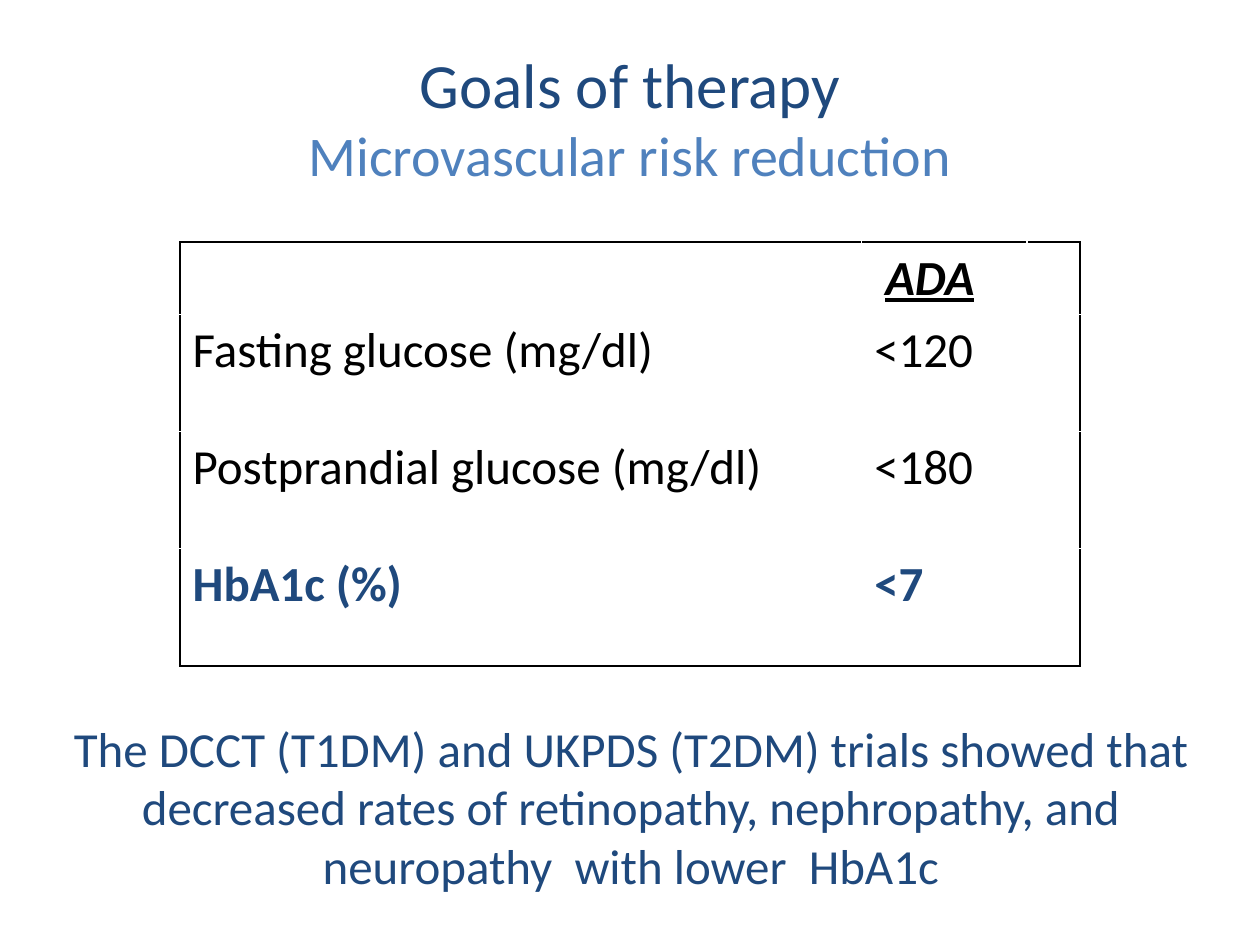
"""Build a slide on therapy goals for microvascular risk reduction."""
from lxml.etree import SubElement
from pptx import Presentation
from pptx.dml.color import RGBColor
from pptx.enum.text import MSO_ANCHOR, MSO_AUTO_SIZE, PP_ALIGN
from pptx.oxml.ns import qn
from pptx.util import Cm, Pt

NAVY = RGBColor(0x1F, 0x49, 0x7D)
BLUE = RGBColor(0x4F, 0x81, 0xBD)
BLACK = RGBColor(0, 0, 0)


def add_run(paragraph, text, size, color, bold=False):
    run = paragraph.add_run()
    run.text = text
    run.font.name = "Calibri"
    run.font.size = Pt(size)
    run.font.color.rgb = color
    run.font.bold = bold
    return run


def add_border(cell, side):
    line = SubElement(cell._tc.get_or_add_tcPr(), qn(f"a:{side}"), w=str(Pt(1)))
    fill = SubElement(line, qn("a:solidFill"))
    SubElement(fill, qn("a:srgbClr"), val=str(BLACK))


presentation = Presentation()
presentation.slide_width = Cm(25.4)
presentation.slide_height = Cm(19.05)
slide = presentation.slides.add_slide(presentation.slide_layouts[5])

title = slide.shapes.title
title.left, title.top, title.width, title.height = Cm(1.27), Cm(0.76), Cm(22.86), Cm(3.18)
title.text_frame.vertical_anchor = MSO_ANCHOR.MIDDLE
paragraph = title.text_frame.paragraphs[0]
paragraph.alignment = PP_ALIGN.CENTER
add_run(paragraph, "Goals of therapy", 36, NAVY)
paragraph.add_line_break()
add_run(paragraph, "Microvascular risk reduction", 32, BLUE)

goals = [
    ("", "ADA"),
    ("Fasting glucose (mg/dl)", "<120"),
    ("Postprandial glucose (mg/dl)", "<180"),
    ("HbA1c (%)", "<7"),
]
column_widths = [13.74, 3.33, 1.07]
row_heights = [1.35, 2.36, 2.36, 2.36]
last_row, last_column = len(row_heights) - 1, len(column_widths) - 1

table = slide.shapes.add_table(
    len(row_heights), len(column_widths),
    Cm(3.63), Cm(4.88), Cm(sum(column_widths)), Cm(sum(row_heights)),
).table
table.first_row = False
table.horz_banding = False
for column, width in zip(table.columns, column_widths):
    column.width = Cm(width)
for row, height in zip(table.rows, row_heights):
    row.height = Cm(height)

for row_index, row in enumerate(table.rows):
    for column_index, cell in enumerate(row.cells):
        edges = [
            ("lnL", column_index == 0),
            ("lnR", column_index == last_column),
            ("lnT", row_index == 0),
            ("lnB", row_index == last_row),
        ]
        for side, is_outer in edges:
            if is_outer:
                add_border(cell, side)
        cell.fill.background()

for row_index, texts in enumerate(goals):
    is_header, is_key_goal = row_index == 0, row_index == last_row
    for column_index, text in enumerate(texts):
        if not text:
            continue
        paragraph = table.cell(row_index, column_index).text_frame.paragraphs[0]
        paragraph.space_before = Pt(5.6)
        if is_header:
            add_run(paragraph, " ", 28, BLACK, True).font.italic = True
        run = add_run(paragraph, text, 28, NAVY if is_key_goal else BLACK, is_header or is_key_goal)
        run.font.italic = is_header
        run.font.underline = is_header

conclusion = slide.shapes.add_textbox(Cm(0.56), Cm(14.35), Cm(24.31), Cm(3.84))
conclusion.text_frame.word_wrap = True
conclusion.text_frame.auto_size = MSO_AUTO_SIZE.SHAPE_TO_FIT_TEXT
paragraph = conclusion.text_frame.paragraphs[0]
paragraph.alignment = PP_ALIGN.CENTER
add_run(
    paragraph,
    "The DCCT (T1DM) and UKPDS (T2DM) trials showed that decreased rates of "
    "retinopathy, nephropathy, and neuropathy  with lower  HbA1c",
    28, NAVY,
)

presentation.save("out.pptx")
